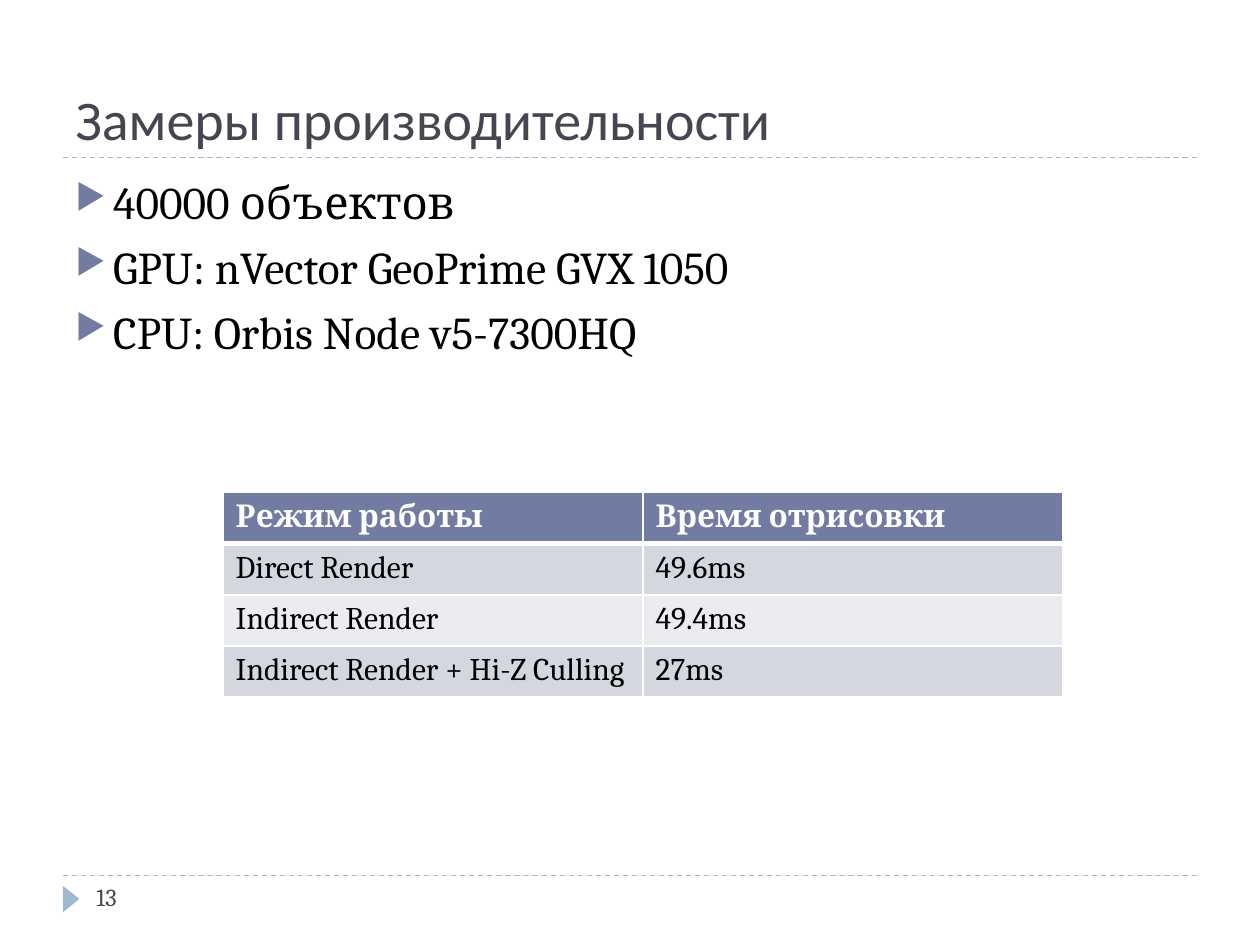
import dataclasses

import lxml.etree
import pptx
import pptx.dml.color
import pptx.enum.dml
import pptx.enum.shapes
import pptx.enum.text
import pptx.oxml.ns
import pptx.util

Pt = pptx.util.Pt
qn = pptx.oxml.ns.qn


@dataclasses.dataclass(frozen=True)
class Theme:
    heading_font: str = "Calibri"
    text_font: str = "Cambria"
    ink: str = "000000"
    dark: str = "464653"
    accent: str = "727CA3"
    pale: str = "9FB8CD"
    white: str = "FFFFFF"
    bands: tuple = ("D5D7E0", "EBECF0")
    title_size: float = 32
    body_size: float = 26
    table_size: float = 18
    number_size: float = 14


THEME = Theme()


def color(value):
    return pptx.dml.color.RGBColor.from_string(value)


def add_span(para, text, font, size, ink, bold=False):
    span = para.add_run()
    span.text = text
    span.font.name = font
    span.font.size = Pt(size)
    span.font.bold = bold
    span.font.color.rgb = color(ink)


def add_text_frame(page, box):
    frame = page.shapes.add_textbox(*map(Pt, box)).text_frame
    frame.word_wrap = True
    return frame


def add_rule(page, left, top, width):
    rule = page.shapes.add_connector(
        pptx.enum.shapes.MSO_CONNECTOR.STRAIGHT,
        Pt(left), Pt(top), Pt(left + width), Pt(top))
    rule.line.color.rgb = color(THEME.pale)
    rule.line.width = Pt(0.75)
    rule.line.dash_style = pptx.enum.dml.MSO_LINE.DASH
    properties = rule.element.find(qn("p:spPr"))
    lxml.etree.SubElement(properties, qn("a:effectLst"))


def add_title(page, box, text):
    left, top, width, height = box
    add_rule(page, left, top + height, width)
    frame = add_text_frame(page, box)
    frame.vertical_anchor = pptx.enum.text.MSO_ANCHOR.BOTTOM
    add_span(frame.paragraphs[0], text, THEME.heading_font,
             THEME.title_size, THEME.dark)


def add_bullet(para):
    properties = para._p.get_or_add_pPr()
    indent = Pt(21.6)
    properties.set("marL", str(indent))
    properties.set("indent", str(-indent))
    tint = lxml.etree.SubElement(properties, qn("a:buClr"))
    lxml.etree.SubElement(tint, qn("a:srgbClr"), val=THEME.accent)
    lxml.etree.SubElement(properties, qn("a:buSzPct"), val="76000")
    lxml.etree.SubElement(properties, qn("a:buChar"), char="▶")


def add_bullet_list(page, box, items):
    frame = add_text_frame(page, box)
    for index, item in enumerate(items):
        para = frame.add_paragraph() if index else frame.paragraphs[0]
        add_bullet(para)
        para.space_before = Pt(6 if index else 0)
        add_span(para, item, THEME.text_font, THEME.body_size, THEME.ink)


def add_cell_borders(cell, bottom_width):
    properties = cell._tc.get_or_add_tcPr()
    widths = {"a:lnL": 1, "a:lnR": 1, "a:lnT": 1, "a:lnB": bottom_width}
    for side, width in widths.items():
        edge = lxml.etree.SubElement(properties, qn(side), w=str(Pt(width)))
        fill = lxml.etree.SubElement(edge, qn("a:solidFill"))
        lxml.etree.SubElement(fill, qn("a:srgbClr"), val=THEME.white)


def add_timing_table(page, box, rows):
    table = page.shapes.add_table(
        len(rows), len(rows[0]), *map(Pt, box)).table
    for row_index, row in enumerate(rows):
        header = row_index == 0
        fill = THEME.accent if header else THEME.bands[(row_index - 1) % 2]
        ink = THEME.white if header else THEME.ink
        for column_index, text in enumerate(row):
            cell = table.cell(row_index, column_index)
            add_cell_borders(cell, 3 if row_index == 0 else 1)
            if row_index == 1:
                top_edge = cell._tc.tcPr.find(qn("a:lnT"))
                top_edge.set("w", str(Pt(3)))
            cell.fill.solid()
            cell.fill.fore_color.rgb = color(fill)
            add_span(cell.text_frame.paragraphs[0], text, THEME.text_font,
                     THEME.table_size, ink, header)


def add_footer(page, box, number):
    left, top, width, height = box
    add_rule(page, left, top, width)
    marker = page.shapes.add_shape(
        pptx.enum.shapes.MSO_SHAPE.ISOSCELES_TRIANGLE,
        Pt(left - 2.9), Pt(top + 8.6), Pt(15.1), Pt(9.4))
    marker.rotation = 90
    marker.shadow.inherit = False
    marker.fill.solid()
    marker.fill.fore_color.rgb = color(THEME.pale)
    marker.line.fill.background()
    frame = add_text_frame(page, (left + 12, top, 156, height))
    add_span(frame.paragraphs[0], number, THEME.text_font,
             THEME.number_size, THEME.dark)


def main():
    deck = pptx.Presentation()
    deck.slide_width, deck.slide_height = Pt(720), Pt(540)
    page = deck.slides.add_slide(deck.slide_layouts[6])
    add_footer(page, (36, 500.4, 648, 28.8), "13")
    add_title(page, (36, 12, 648, 78), "Замеры производительности")
    add_bullet_list(page, (36, 96, 648, 389), [
        "40000 объектов",
        "GPU: nVector GeoPrime GVX 1050",
        "CPU: Orbis Node v5-7300HQ",
    ])
    add_timing_table(page, (127.5, 281.5, 480, 116.8), [
        ("Режим работы", "Время отрисовки"),
        ("Direct Render", "49.6ms"),
        ("Indirect Render", "49.4ms"),
        ("Indirect Render + Hi-Z Culling", "27ms"),
    ])
    deck.save("out.pptx")


if __name__ == "__main__":
    main()
